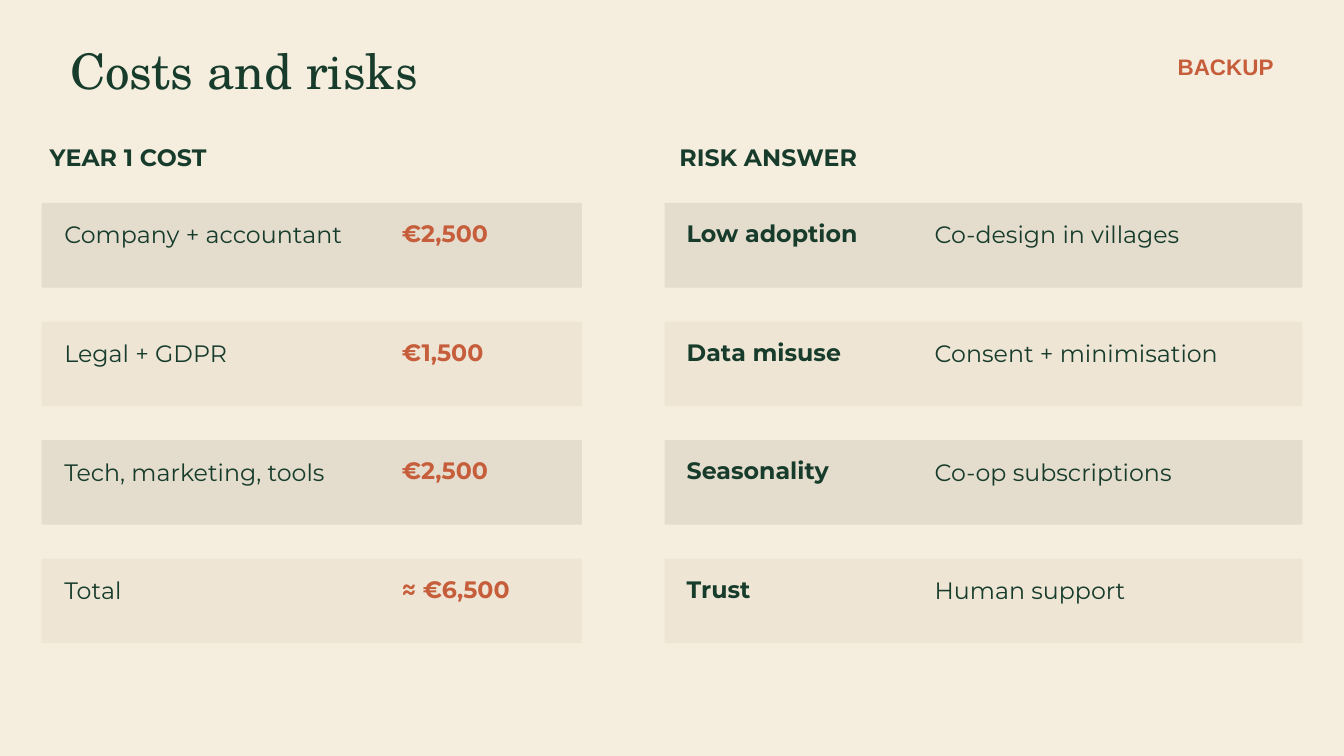
from pptx import Presentation
from pptx import util as u
from pptx.dml import color
from pptx.enum import shapes, text

Pt = u.Pt
C = {"paper": "F5EEDF", "green": "173C2B", "rust": "C65D3B",
     "dark": "E4DCCD", "light": "EEE5D5"}


def rgb(name):
    return color.RGBColor.from_string(C[name])


def write(sp, words, size, font, ink, bold, leading, align=text.PP_ALIGN.LEFT):
    tf = sp.text_frame
    tf.text = words
    tf.word_wrap = True
    tf.auto_size = text.MSO_AUTO_SIZE.NONE
    tf.vertical_anchor = text.MSO_ANCHOR.TOP
    tf.margin_left = tf.margin_top = tf.margin_right = tf.margin_bottom = 0
    p = tf.paragraphs[0]
    p.alignment = align
    p.line_spacing = Pt(leading)
    r = p.runs[0]
    r.font.size, r.font.name, r.font.bold = Pt(size), font, bold
    r.font.color.rgb = rgb(ink)


prs = Presentation()
prs.slide_width, prs.slide_height = Pt(1440), Pt(810)
s = prs.slides.add_slide(prs.slide_layouts[5])
s.background.fill.solid()
s.background.fill.fore_color.rgb = rgb("paper")

title = s.shapes.title
title.left, title.top, title.width, title.height = Pt(75), Pt(52.5), Pt(975), Pt(55.5)
write(title, "Costs and risks", 52.5, "TeX Gyre Schola", "green", False, 53.5)

columns = [
    {"heading": "YEAR 1 COST", "heading_box": (53.3, 401.8), "card": (44.6, 578.9),
     "cells": [(69, 305.3, "green", False), (430.6, 177.1, "rust", True)],
     "rows": [("Company + accountant", "€2,500"), ("Legal + GDPR", "€1,500"),
              ("Tech, marketing, tools", "€2,500"), ("Total", "≈ €6,500")]},
    {"heading": "RISK ANSWER", "heading_box": (727.9, 482.4), "card": (712, 683.3),
     "cells": [(735.8, 241.2, "green", True), (1001.5, 385.9, "green", False)],
     "rows": [("Low adoption", "Co-design in villages"),
              ("Data misuse", "Consent + minimisation"),
              ("Seasonality", "Co-op subscriptions"), ("Trust", "Human support")]},
]
first_top, pitch, card_height, pad = 217.5, 127, 90.7, 18.5

for col in columns:
    left, width = col["heading_box"]
    sp = s.shapes.add_textbox(Pt(left), Pt(154.8), Pt(width), Pt(29.5))
    write(sp, col["heading"], 25.4, "Montserrat", "green", True, 29.2)
    for i, row in enumerate(col["rows"]):
        top = first_top + i * pitch
        group = s.shapes.add_group_shape()
        left, width = col["card"]
        card = group.shapes.add_shape(shapes.MSO_SHAPE.RECTANGLE,
                                      Pt(left), Pt(top), Pt(width), Pt(card_height))
        card.shadow.inherit = False
        card.fill.solid()
        card.fill.fore_color.rgb = rgb("light" if i % 2 else "dark")
        card.line.fill.background()
        for words, (left, width, ink, bold) in zip(row, col["cells"]):
            sp = group.shapes.add_textbox(Pt(left), Pt(top + pad), Pt(width), Pt(30))
            write(sp, words, 25.4, "Montserrat", ink, bold, 29.2 if bold else 30.5)

tag = s.shapes.add_textbox(Pt(1139.8), Pt(52.5), Pt(224.6), Pt(32.4))
write(tag, "BACKUP", 24, "Arial", "rust", True, 33.6, text.PP_ALIGN.RIGHT)

prs.save("out.pptx")
